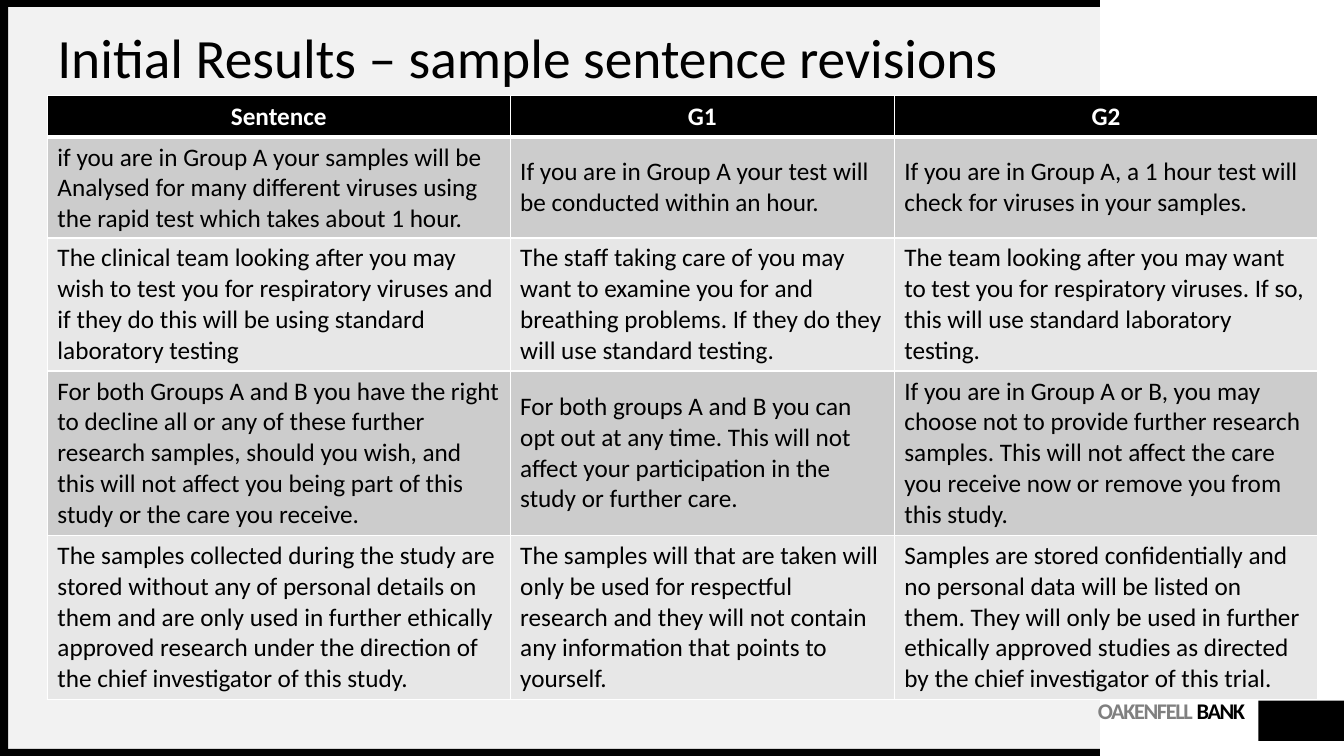
from pptx import Presentation, util as u
from pptx.dml.color import RGBColor
from pptx.enum import shapes, text
from pptx.oxml import parse_xml
from pptx.oxml.ns import nsdecls

Inches, Pt = u.Inches, u.Pt
BLACK = RGBColor(0x00, 0x00, 0x00)
WHITE = RGBColor(0xFF, 0xFF, 0xFF)
PANEL = RGBColor(0xF2, 0xF2, 0xF2)
GRAY = RGBColor(0x80, 0x80, 0x80)
BAND_DARK = RGBColor(0xCC, 0xCC, 0xCC)
BAND_LIGHT = RGBColor(0xE7, 0xE7, 0xE7)
FONT = "Calibri"

COLUMNS = [4.59, 3.81, 4.2]
ROWS = [0.41, 1.0, 1.32, 1.63, 1.63]
REVISIONS = [
    ["Sentence", "G1", "G2"],
    ["if you are in Group A your samples will be Analysed for many different viruses "
     "using the rapid test which takes about 1 hour.",
     "If you are in Group A your test will be conducted within an hour.",
     "If you are in Group A, a 1 hour test will check for viruses in your samples."],
    ["The clinical team looking after you may wish to test you for respiratory viruses "
     "and if they do this will be using standard laboratory testing",
     "The staff taking care of you may want to examine you for and breathing problems. "
     "If they do they will use standard testing.",
     "The team looking after you may want to test you for respiratory viruses. "
     "If so, this will use standard laboratory testing."],
    ["For both Groups A and B you have the right to decline all or any of these further "
     "research samples, should you wish, and this will not affect you being part of this "
     "study or the care you receive.",
     "For both groups A and B you can opt out at any time. This will not affect your "
     "participation in the study or further care.",
     "If you are in Group A or B, you may choose not to provide further research samples. "
     "This will not affect the care you receive now or remove you from this study."],
    ["The samples collected during the study are stored without any of personal details on "
     "them and are only used in further ethically approved research under the direction of "
     "the chief investigator of this study.",
     "The samples will that are taken will only be used for respectful research and they "
     "will not contain any information that points to yourself.",
     "Samples are stored confidentially and no personal data will be listed on them. They "
     "will only be used in further ethically approved studies as directed by the chief "
     "investigator of this trial."],
]


def style(r, size, color, bold=False):
    r.font.name = FONT
    r.font.size = Pt(size)
    r.font.bold = bold
    r.font.color.rgb = color


def add_rect(s, x, y, w, h, color):
    sp = s.shapes.add_shape(shapes.MSO_SHAPE.RECTANGLE,
                            Inches(x), Inches(y), Inches(w), Inches(h))
    sp.shadow.inherit = False
    sp.fill.solid()
    sp.fill.fore_color.rgb = color
    sp.line.fill.background()


def add_text(s, x, y, w, h):
    tf = s.shapes.add_textbox(Inches(x), Inches(y), Inches(w), Inches(h)).text_frame
    tf.word_wrap = True
    return tf


def add_frame(s, x, y, w, h):
    bar = 0.07
    add_rect(s, x, y, w, h, PANEL)
    add_rect(s, x, y + h - bar, w, bar, BLACK)
    add_rect(s, x, y, w, bar, BLACK)
    add_rect(s, x, y, 0.08, h, BLACK)


def add_footer(s, x, y, w, h):
    block = 0.86
    add_rect(s, x + w - block, y, block, h, BLACK)
    tf = add_text(s, x, y, w - block - 0.13, h)
    tf.margin_left = tf.margin_right = tf.margin_bottom = 0
    tf.margin_top = Inches(0.04)
    p = tf.paragraphs[0]
    p.alignment = text.PP_ALIGN.RIGHT
    p.line_spacing = Pt(14)
    for word, color in (("OAKENFELL ", GRAY), ("BANK", BLACK)):
        r = p.add_run()
        r.text = word
        style(r, 16, color, True)
        r.font._element.set("spc", "-100")


def add_title(s, x, y, w, h):
    tf = add_text(s, x, y, w, h)
    tf.vertical_anchor = text.MSO_ANCHOR.MIDDLE
    tf.text = "Initial Results – sample sentence revisions"
    p = tf.paragraphs[0]
    p.line_spacing = 0.9
    style(p.runs[0], 39.6, BLACK)


def set_borders(cell, bottom):
    tc_pr = cell._tc.get_or_add_tcPr()
    widths = {"lnL": 1, "lnR": 1, "lnT": 1, "lnB": bottom}
    for i, (side, width) in enumerate(widths.items()):
        tc_pr.insert(i, parse_xml(
            f'<a:{side} {nsdecls("a")} w="{Pt(width)}"><a:solidFill>'
            f'<a:srgbClr val="{WHITE}"/></a:solidFill></a:{side}>'))


def add_revisions(s, x, y, w, h):
    table = s.shapes.add_table(len(ROWS), len(COLUMNS), Inches(x), Inches(y),
                               Inches(w), Inches(h)).table
    for column, width in zip(table.columns, COLUMNS):
        column.width = Inches(width)
    for i, (row, height) in enumerate(zip(table.rows, ROWS)):
        row.height = Inches(height)
        header = i == 0
        fill = BLACK if header else BAND_DARK if i % 2 else BAND_LIGHT
        for cell, words in zip(row.cells, REVISIONS[i]):
            cell.text_frame.text = words
            cell.vertical_anchor = text.MSO_ANCHOR.MIDDLE
            cell.fill.solid()
            cell.fill.fore_color.rgb = fill
            p = cell.text_frame.paragraphs[0]
            p.alignment = text.PP_ALIGN.CENTER if header else text.PP_ALIGN.LEFT
            style(p.runs[0], 18, WHITE if header else BLACK, header)
            set_borders(cell, 3 if header else 1)


def build_slide(prs):
    s = prs.slides.add_slide(prs.slide_layouts[6])
    add_frame(s, 0, 0, 10.91, 7.5)
    add_footer(s, 10.53, 6.95, 2.81, 0.4)
    add_title(s, 0.47, 0.37, 10.06, 0.47)
    add_revisions(s, 0.47, 0.95, sum(COLUMNS), sum(ROWS))


prs = Presentation()
prs.slide_width = Inches(13.33)
prs.slide_height = Inches(7.5)
build_slide(prs)
prs.save("out.pptx")
